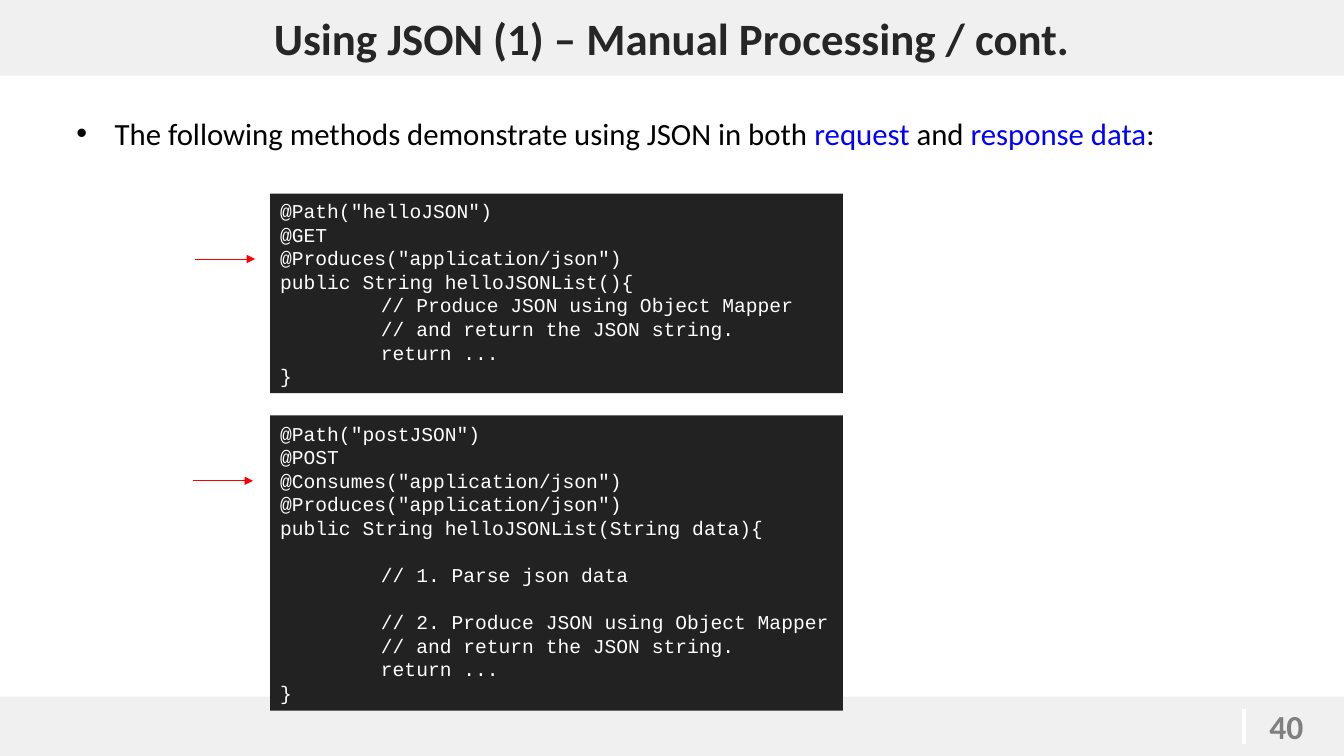
"""Build a slide on JSON requests and responses."""
from dataclasses import dataclass

from lxml import etree
from pptx import Presentation
from pptx.dml.color import RGBColor
from pptx.enum import shapes, text
from pptx.oxml import ns
from pptx import util as u

HUES = {"bar": "F0F0F0", "code": "222222", "title": "262626", "page": "808080",
        "black": "000000", "white": "FFFFFF", "blue": "0000FF", "red": "FF0000"}
PITCH = 16.8


@dataclass
class Box:
    left: float
    top: float
    width: float
    height: float

    def spans(self) -> list:
        return [u.Inches(n) for n in (self.left, self.top, self.width, self.height)]


@dataclass
class Code:
    box: Box
    tip: tuple
    body: str


CODES = [
    Code(Box(2.68, 1.92, 5.68, 1.98), (2.53, 2.57), """@Path("helloJSON")
@GET
@Produces("application/json")
public String helloJSONList(){
\t// Produce JSON using Object Mapper
\t// and return the JSON string.
\treturn ...
}"""),
    Code(Box(2.68, 4.12, 5.68, 2.93), (2.51, 4.77), """@Path("postJSON")
@POST
@Consumes("application/json")
@Produces("application/json")
public String helloJSONList(String data){

\t// 1. Parse json data

\t// 2. Produce JSON using Object Mapper
\t// and return the JSON string.
\treturn ...
}"""),
]


def color(name: str) -> RGBColor:
    return RGBColor.from_string(HUES[name])


def fill(slide, box: Box, hue: str):
    rect = slide.shapes.add_shape(shapes.MSO_SHAPE.RECTANGLE, *box.spans())
    rect.shadow.inherit = False
    rect.fill.solid()
    rect.fill.fore_color.rgb = color(hue)
    rect.line.fill.background()
    return rect


def line(slide, start: tuple, end: tuple, hue: str, width: float, head: bool = False):
    ends = [u.Inches(n) for n in (*start, *end)]
    link = slide.shapes.add_connector(shapes.MSO_CONNECTOR.STRAIGHT, *ends)
    link.line.color.rgb = color(hue)
    link.line.width = u.Pt(width)
    if head:
        etree.SubElement(link.line._get_or_add_ln(), ns.qn("a:tailEnd"), type="triangle")
    etree.SubElement(link._element.spPr, ns.qn("a:effectLst"))


def write(shape, lines: list, *, size: float, hue: str, face: str = "Calibri",
          bold: bool = False, align=text.PP_ALIGN.LEFT, anchor=text.MSO_ANCHOR.TOP,
          wrap: bool = True, pitch: float = 0, bullet: bool = False, tab: float = 0):
    frame = shape.text_frame
    frame.word_wrap = wrap
    frame.vertical_anchor = anchor
    para, gap = None, 0
    for parts in lines:
        if not parts[0][0]:
            gap += pitch
            continue
        para = frame.add_paragraph() if para else frame.paragraphs[0]
        para.alignment = align
        if pitch:
            para.line_spacing = u.Pt(pitch)
        if gap:
            para.space_before = u.Pt(gap)
            gap = 0
        props = para._p.get_or_add_pPr()
        if bullet:
            props.set("marL", str(u.Inches(0.38)))
            props.set("indent", str(-u.Inches(0.38)))
            etree.SubElement(props, ns.qn("a:buFont"), typeface="Arial")
            etree.SubElement(props, ns.qn("a:buChar"), char="•")
        if tab:
            stops = etree.SubElement(props, ns.qn("a:tabLst"))
            etree.SubElement(stops, ns.qn("a:tab"), pos=str(u.Inches(tab)), algn="l")
        for words, tint in parts:
            run = para.add_run()
            run.text = words
            run.font.size = u.Pt(size)
            run.font.name = face
            run.font.bold = bold
            run.font.color.rgb = color(tint or hue)


def main():
    deck = Presentation()
    deck.slide_width, deck.slide_height = u.Inches(13.33), u.Inches(7.5)
    slide = deck.slides.add_slide(deck.slide_layouts[6])

    fill(slide, Box(0, 6.91, 13.33, 0.59), "bar")
    page = slide.shapes.add_textbox(*Box(12.49, 6.95, 0.92, 0.5).spans())
    write(page, [[("40", None)]], size=24, hue="page", bold=True)
    line(slide, (12.34, 7.03), (12.34, 7.38), "white", 3)

    intro = slide.shapes.add_textbox(*Box(0.66, 1.09, 12, 5.6).spans())
    write(intro, [[("The following methods demonstrate using JSON in both ", None),
                   ("request", "blue"), (" and ", None),
                   ("response data", "blue"), (":", None)]],
          size=22, hue="black", bullet=True)

    title = fill(slide, Box(0, 0, 13.33, 0.75), "bar")
    write(title, [[("Using JSON (1) – Manual Processing / cont.", None)]],
          size=32, hue="title", bold=True, align=text.PP_ALIGN.CENTER,
          anchor=text.MSO_ANCHOR.MIDDLE)

    for code in CODES:
        panel = fill(slide, code.box, "code")
        write(panel, [[(row, None)] for row in code.body.split("\n")], size=14,
              hue="white", face="Courier New", anchor=text.MSO_ANCHOR.MIDDLE,
              wrap=False, pitch=PITCH, tab=1)
        x, y = code.tip
        line(slide, (x - 0.6, y), code.tip, "red", 0.75, head=True)

    deck.save("out.pptx")


if __name__ == "__main__":
    main()
